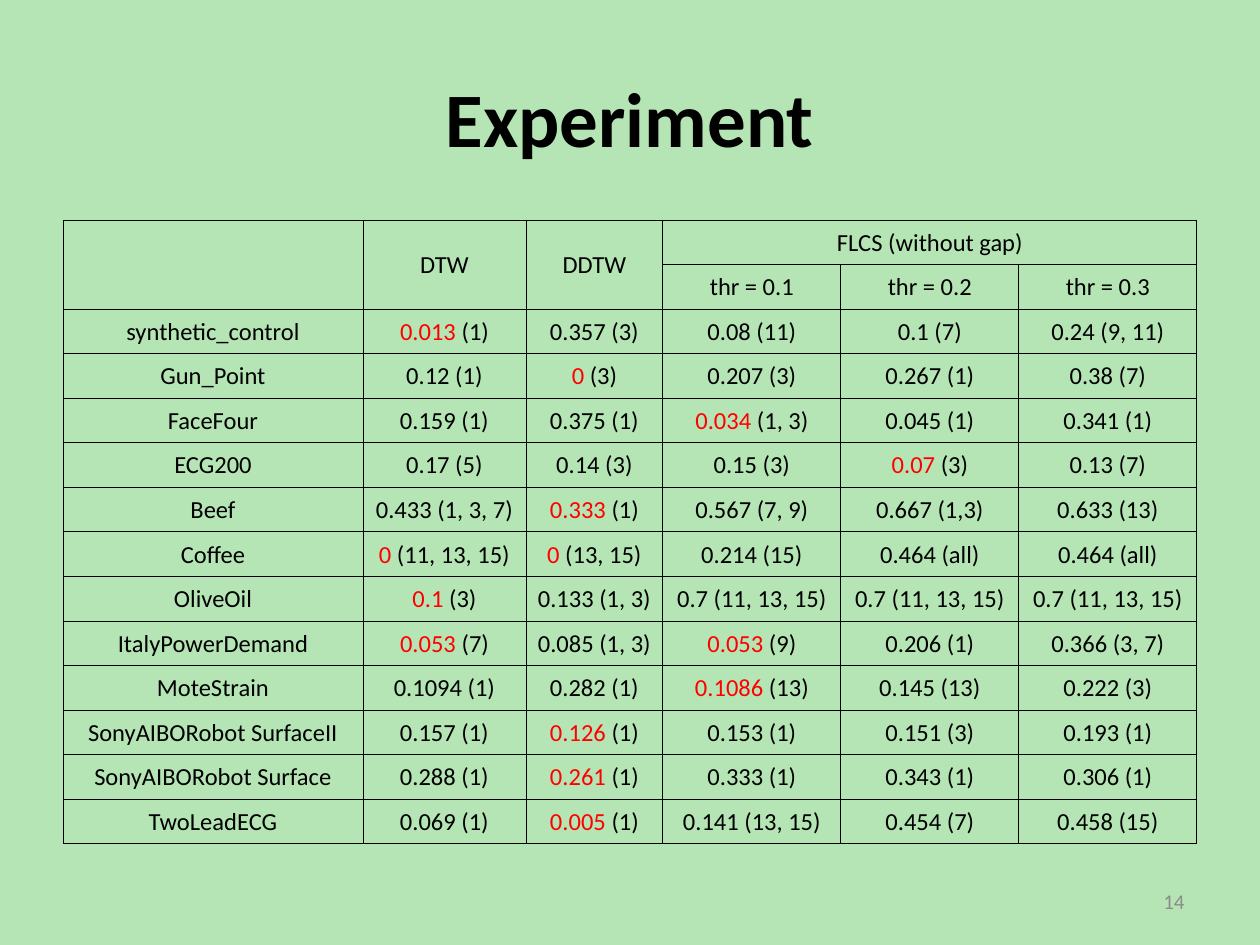
from dataclasses import dataclass

from lxml.etree import SubElement
from pptx import Presentation
from pptx.dml.color import RGBColor
from pptx.enum.text import MSO_ANCHOR, PP_ALIGN
from pptx.oxml.ns import qn
from pptx.slide import Slide
from pptx.table import _Cell
from pptx.text.text import _Paragraph
from pptx.util import Emu, Pt

PX_PER_INCH = 126
FONT = "Calibri"
COLORS = {
    "background": "B5E5B5",
    "text": "000000",
    "best": "FF0000",
    "page": "8C8C8C",
}


@dataclass(frozen=True)
class Label:
    text: str
    left: int
    top: int
    width: int
    height: int
    size: int
    color: str
    align: PP_ALIGN
    bold: bool = False


@dataclass(frozen=True)
class Dataset:
    name: str
    results: tuple[str, ...]

    def best_error(self) -> float:
        return min(error_rate(result) for result in self.results)


LABELS = [
    Label("Experiment", 63, 38, 1134, 158, 44, "text", PP_ALIGN.CENTER, True),
    Label("14", 903, 876, 294, 50, 12, "page", PP_ALIGN.RIGHT),
]
TABLE_LEFT, TABLE_TOP, TABLE_HEIGHT = 63, 220, 624
COLUMN_WIDTHS = [300, 163, 137, 178, 178, 178]
HEADERS = [
    ("", "DTW", "DDTW", "FLCS (without gap)", "", ""),
    ("", "", "", "thr = 0.1", "thr = 0.2", "thr = 0.3"),
]
HEADER_MERGES = [((0, 0), (1, 0)), ((0, 1), (1, 1)), ((0, 2), (1, 2)), ((0, 3), (0, 5))]
DATASETS = [
    Dataset("synthetic_control", ("0.013 (1)", "0.357 (3)", "0.08 (11)", "0.1 (7)", "0.24 (9, 11)")),
    Dataset("Gun_Point", ("0.12 (1)", "0 (3)", "0.207 (3)", "0.267 (1)", "0.38 (7)")),
    Dataset("FaceFour", ("0.159 (1)", "0.375 (1)", "0.034 (1, 3)", "0.045 (1)", "0.341 (1)")),
    Dataset("ECG200", ("0.17 (5)", "0.14 (3)", "0.15 (3)", "0.07 (3)", "0.13 (7)")),
    Dataset("Beef", ("0.433 (1, 3, 7)", "0.333 (1)", "0.567 (7, 9)", "0.667 (1,3)", "0.633 (13)")),
    Dataset("Coffee", ("0 (11, 13, 15)", "0 (13, 15)", "0.214 (15)", "0.464 (all)", "0.464 (all)")),
    Dataset("OliveOil", ("0.1 (3)", "0.133 (1, 3)", "0.7 (11, 13, 15)", "0.7 (11, 13, 15)", "0.7 (11, 13, 15)")),
    Dataset("ItalyPowerDemand", ("0.053 (7)", "0.085 (1, 3)", "0.053 (9)", "0.206 (1)", "0.366 (3, 7)")),
    Dataset("MoteStrain", ("0.1094 (1)", "0.282 (1)", "0.1086 (13)", "0.145 (13)", "0.222 (3)")),
    Dataset("SonyAIBORobot SurfaceII", ("0.157 (1)", "0.126 (1)", "0.153 (1)", "0.151 (3)", "0.193 (1)")),
    Dataset("SonyAIBORobot Surface", ("0.288 (1)", "0.261 (1)", "0.333 (1)", "0.343 (1)", "0.306 (1)")),
    Dataset("TwoLeadECG", ("0.069 (1)", "0.005 (1)", "0.141 (13, 15)", "0.454 (7)", "0.458 (15)")),
]


def px(length: float) -> Emu:
    return Emu(round(length * 914400 / PX_PER_INCH))


def rgb(name: str) -> RGBColor:
    return RGBColor.from_string(COLORS[name])


def error_rate(result: str) -> float:
    return float(result.split()[0])


def style(paragraph: _Paragraph, size: int, align: PP_ALIGN) -> None:
    paragraph.alignment = align
    paragraph.font.name = FONT
    paragraph.font.size = Pt(size)


def add_label(slide: Slide, label: Label) -> None:
    box = slide.shapes.add_textbox(px(label.left), px(label.top), px(label.width), px(label.height))
    frame = box.text_frame
    frame.word_wrap = True
    frame.vertical_anchor = MSO_ANCHOR.MIDDLE
    paragraph = frame.paragraphs[0]
    paragraph.text = label.text
    style(paragraph, label.size, label.align)
    paragraph.font.bold = label.bold
    paragraph.font.color.rgb = rgb(label.color)


def add_borders(cell: _Cell) -> None:
    properties = cell._tc.get_or_add_tcPr()
    for side in ("a:lnL", "a:lnR", "a:lnT", "a:lnB"):
        line = SubElement(properties, qn(side), w=str(Pt(0.5)))
        fill = SubElement(line, qn("a:solidFill"))
        SubElement(fill, qn("a:srgbClr"), val=COLORS["text"])


def fill_cell(cell: _Cell, text: str, is_best: bool = False) -> None:
    cell.margin_left = cell.margin_right = cell.margin_top = px(1)
    cell.margin_bottom = 0
    cell.vertical_anchor = MSO_ANCHOR.MIDDLE
    add_borders(cell)
    cell.fill.background()
    paragraph = cell.text_frame.paragraphs[0]
    style(paragraph, 14, PP_ALIGN.CENTER)
    if is_best:
        error, space, settings = text.partition(" ")
        for part, color in ((error + space, "best"), (settings, "text")):
            run = paragraph.add_run()
            run.text = part
            run.font.color.rgb = rgb(color)
    else:
        paragraph.text = text
        paragraph.font.color.rgb = rgb("text")


def add_results(slide: Slide) -> None:
    row_count = len(HEADERS) + len(DATASETS)
    results = slide.shapes.add_table(
        row_count, len(COLUMN_WIDTHS), px(TABLE_LEFT), px(TABLE_TOP),
        px(sum(COLUMN_WIDTHS)), px(TABLE_HEIGHT),
    ).table
    results.first_row = results.horz_banding = False
    for column, width in zip(results.columns, COLUMN_WIDTHS):
        column.width = px(width)
    for row in results.rows:
        row.height = px(TABLE_HEIGHT / row_count)

    for row, headers in enumerate(HEADERS):
        for column, header in enumerate(headers):
            fill_cell(results.cell(row, column), header)
    for row, dataset in enumerate(DATASETS, len(HEADERS)):
        fill_cell(results.cell(row, 0), dataset.name)
        best = dataset.best_error()
        for column, result in enumerate(dataset.results, 1):
            fill_cell(results.cell(row, column), result, error_rate(result) == best)
    for first, last in HEADER_MERGES:
        results.cell(*first).merge(results.cell(*last))


def main() -> None:
    presentation = Presentation()
    presentation.slide_width, presentation.slide_height = px(1260), px(945)
    slide = presentation.slides.add_slide(presentation.slide_layouts[6])
    slide.background.fill.solid()
    slide.background.fill.fore_color.rgb = rgb("background")
    for label in LABELS:
        add_label(slide, label)
    add_results(slide)
    presentation.save("out.pptx")


if __name__ == "__main__":
    main()
